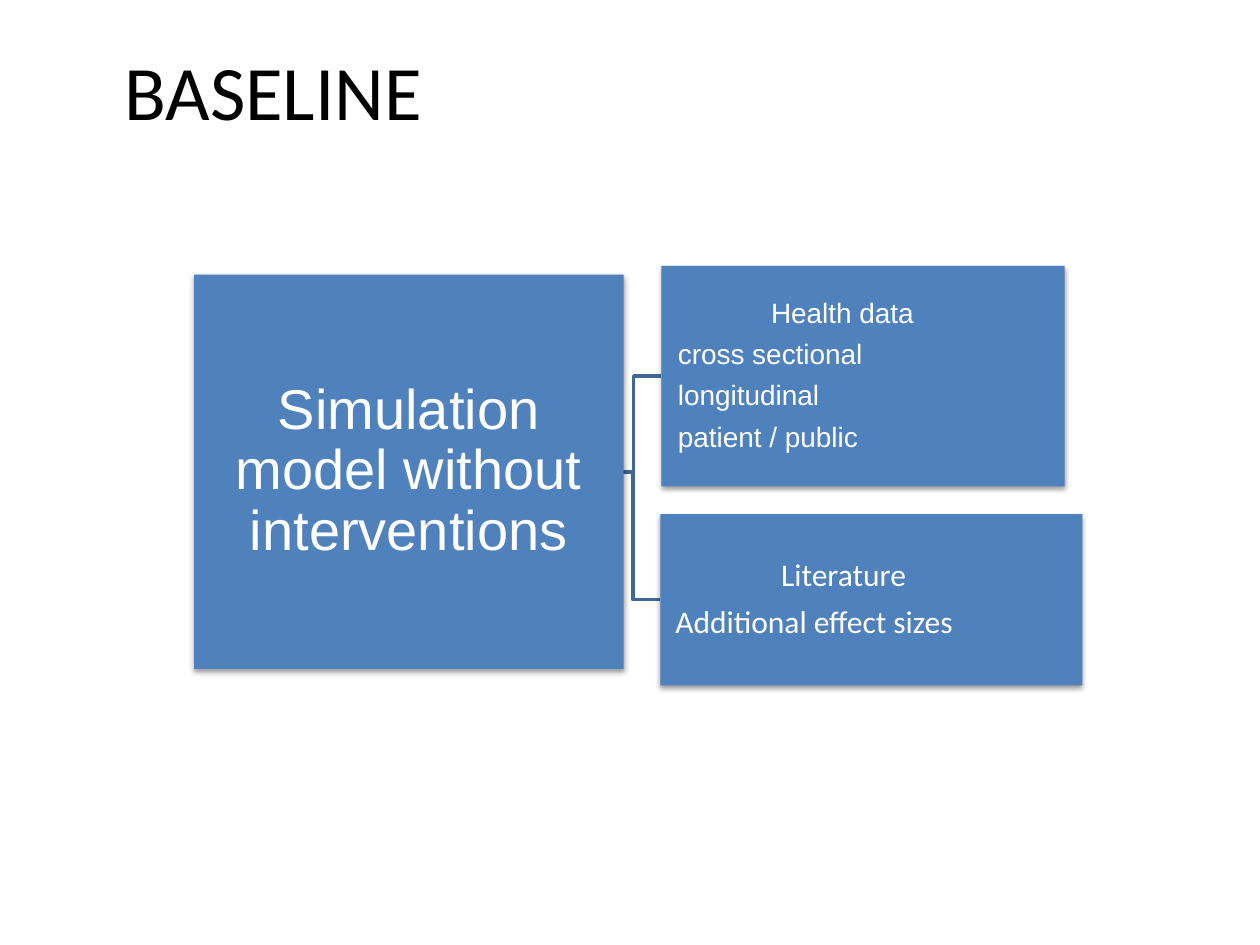
from dataclasses import dataclass

from lxml import etree
from pptx import Presentation
from pptx.dml.color import RGBColor
from pptx.enum.shapes import MSO_SHAPE
from pptx.enum.text import MSO_ANCHOR, PP_ALIGN
from pptx.oxml.ns import qn
from pptx.util import Inches, Pt

RECTANGLE = MSO_SHAPE.RECTANGLE
MIDDLE = MSO_ANCHOR.MIDDLE
LEFT, CENTER = PP_ALIGN.LEFT, PP_ALIGN.CENTER


@dataclass(frozen=True)
class Theme:
    box: RGBColor = RGBColor(0x4F, 0x81, 0xBD)
    line: RGBColor = RGBColor(0x3F, 0x67, 0x97)
    dark: RGBColor = RGBColor(0, 0, 0)
    light: RGBColor = RGBColor(0xFF, 0xFF, 0xFF)
    sans: str = "Arial"
    heading: str = "Calibri"
    title_size: int = 44
    root_size: int = 32
    health_size: int = 16
    literature_size: int = 18


THEME = Theme()


def format_paragraph(p, font, size, color, align=LEFT, indent=0):
    p.alignment = align
    p._p.get_or_add_pPr().set("marL", str(Inches(indent)))
    for r in p.runs:
        r.font.name = font
        r.font.size = Pt(size)
        r.font.color.rgb = color


def add_soft_shadow(sp):
    effects = etree.SubElement(sp._element.spPr, qn("a:effectLst"))
    shadow = etree.SubElement(effects, qn("a:outerShdw"), blurRad=str(Pt(3.1)),
                              dist=str(Pt(1.6)), dir="5400000", rotWithShape="0")
    color = etree.SubElement(shadow, qn("a:srgbClr"), val=str(THEME.dark))
    etree.SubElement(color, qn("a:alpha"), val="38000")


def add_title(slide, box, text):
    tf = slide.shapes.add_textbox(*map(Inches, box)).text_frame
    tf.word_wrap = True
    tf.vertical_anchor = MIDDLE
    tf.text = text
    format_paragraph(tf.paragraphs[0], THEME.heading, THEME.title_size, THEME.dark, CENTER)


def add_box(slide, box, lines, font, size, inset, align=LEFT, indents=(0,)):
    """Add a shadowed box; the last indent serves all remaining lines."""
    sp = slide.shapes.add_shape(RECTANGLE, *map(Inches, box))
    sp.fill.solid()
    sp.fill.fore_color.rgb = THEME.box
    sp.line.fill.background()
    add_soft_shadow(sp)
    tf = sp.text_frame
    tf.word_wrap = True
    tf.vertical_anchor = MIDDLE
    tf.margin_left = tf.margin_right = tf.margin_top = tf.margin_bottom = Inches(inset)
    tf.text = "\n".join(lines)
    for i, p in enumerate(tf.paragraphs):
        indent = indents[min(i, len(indents) - 1)]
        format_paragraph(p, font, size, THEME.light, align, indent)
        p.line_spacing = 0.9
        p.space_after = Pt(0.4 * size)


def add_branch(slide, root, child):
    """Draw a stepped line from inside the root box to the child's left side."""
    start_x, start_y = root[0] + root[2] - 0.14, root[1] + root[3] / 2
    end_x, end_y = child[0], child[1] + child[3] / 2
    mid_x = (start_x + end_x) / 2
    builder = slide.shapes.build_freeform(Inches(start_x), Inches(start_y), scale=1.0)
    steps = [(mid_x, start_y), (mid_x, end_y), (end_x, end_y)]
    builder.add_line_segments([(Inches(x), Inches(y)) for x, y in steps], close=False)
    sp = builder.convert_to_shape()
    sp.shadow.inherit = False
    sp.fill.background()
    sp.line.color.rgb = THEME.line
    sp.line.width = Pt(2)


def add_model_diagram(slide, root, health, literature):
    for child in (literature, health):
        add_branch(slide, root, child)
    add_box(slide, root, ["Simulation model without interventions"],
            THEME.sans, THEME.root_size, 0.02, CENTER)
    add_box(slide, health,
            ["Health data", "cross sectional", "longitudinal", "patient / public"],
            THEME.sans, THEME.health_size, 0.01, indents=(0.86, 0.12))
    add_box(slide, literature, ["Literature", "Additional effect sizes"],
            THEME.heading, THEME.literature_size, 0.01, indents=(0.95, 0.11))


def main():
    prs = Presentation()
    prs.slide_width, prs.slide_height = Inches(10), Inches(7.5)
    slide = prs.slides.add_slide(prs.slide_layouts[6])
    add_title(slide, (0.42, 0.17, 3.5, 1.08), "BASELINE")
    add_model_diagram(slide, root=(1.54, 2.18, 3.41, 3.13),
                      health=(5.25, 2.11, 3.2, 1.75),
                      literature=(5.24, 4.08, 3.35, 1.36))
    prs.save("out.pptx")


if __name__ == "__main__":
    main()
